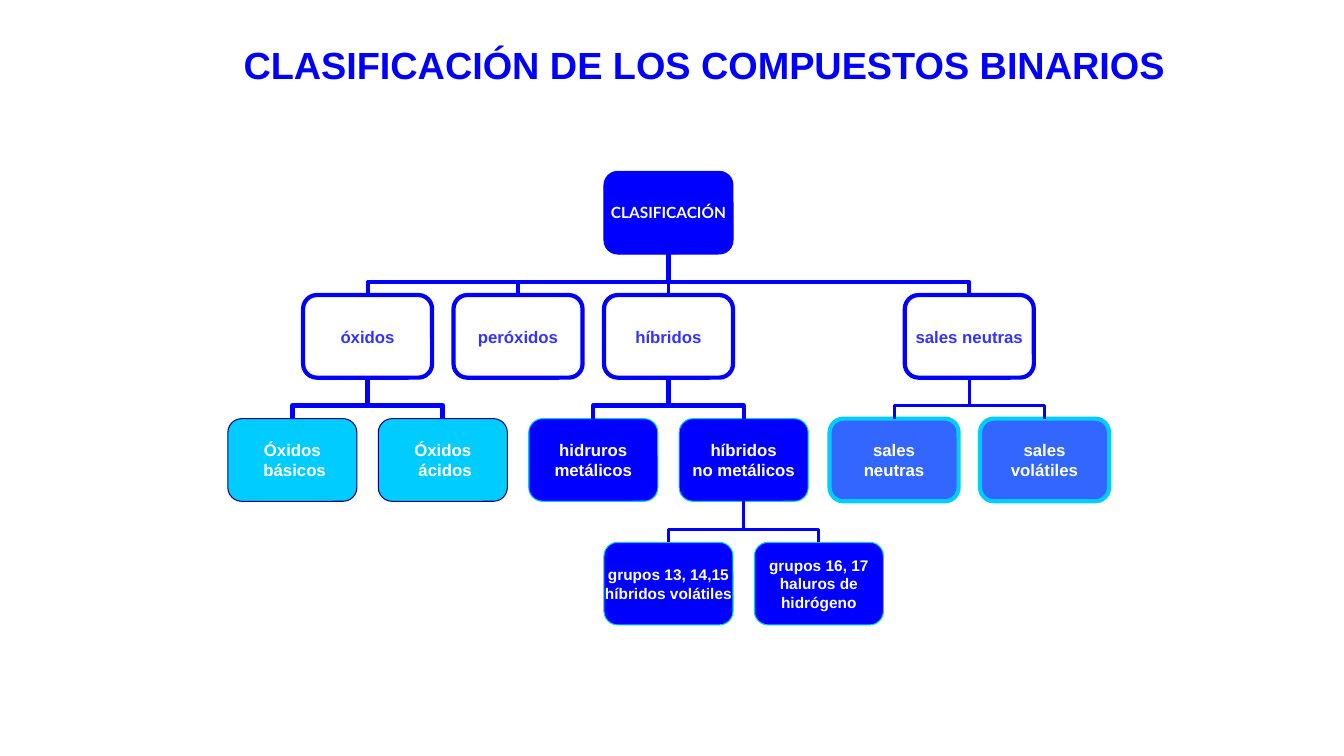
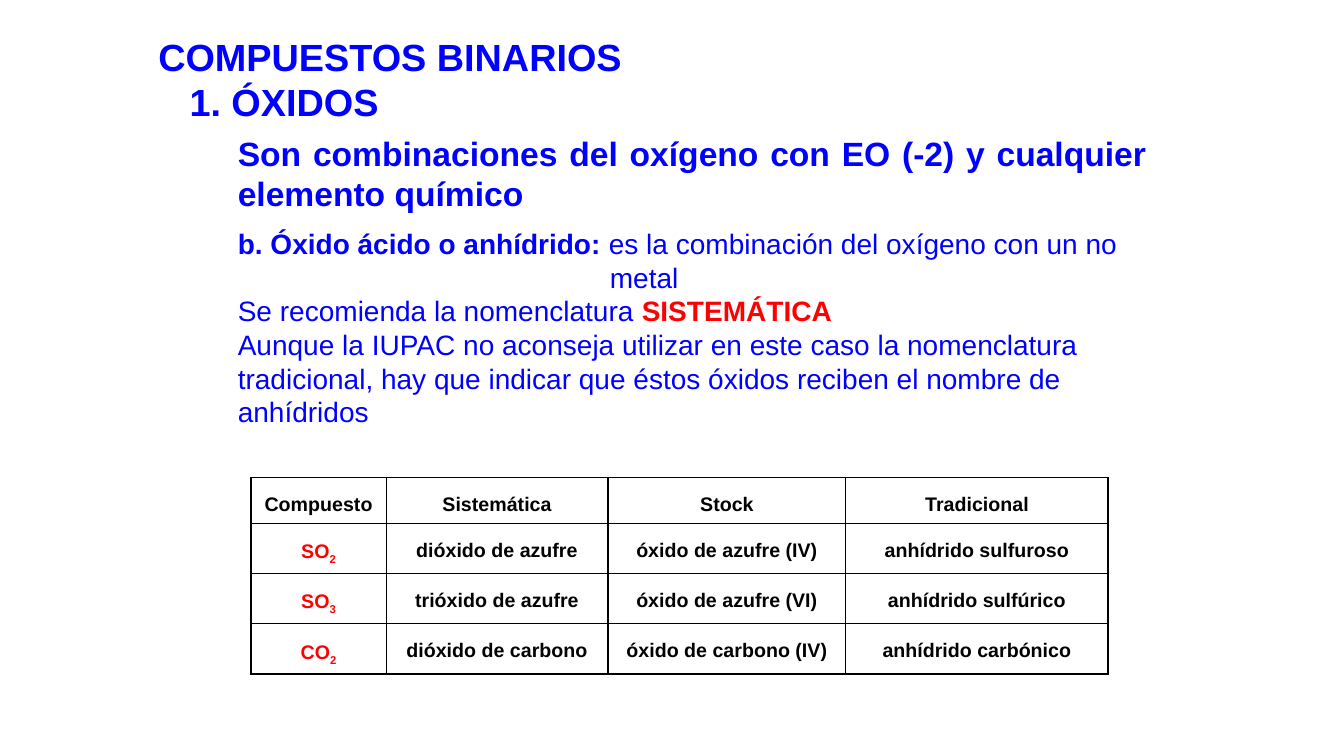
from pptx import Presentation
from pptx.dml.color import RGBColor
from pptx.enum.shapes import MSO_CONNECTOR, MSO_SHAPE
from pptx.enum.text import MSO_ANCHOR, PP_ALIGN
from pptx.oxml import parse_xml
from pptx.oxml.ns import nsdecls
from pptx.util import Inches, Pt

BLUE = RGBColor(0x00, 0x00, 0xFF)
SOFT_BLUE = RGBColor(0x33, 0x33, 0xFF)
MID_BLUE = RGBColor(0x33, 0x66, 0xFF)
CYAN = RGBColor(0x00, 0xCC, 0xFF)
NAVY = RGBColor(0x00, 0x00, 0x80)
RED = RGBColor(0xFF, 0x00, 0x00)
BLACK = RGBColor(0x00, 0x00, 0x00)
WHITE = RGBColor(0xFF, 0xFF, 0xFF)
FONT = "Arial"

# style: fill, outline, outline width, text colour, font, size
NODE_STYLES = {
    "root": (BLUE, BLUE, 0.75, WHITE, "Lato", 11),
    "family": (WHITE, BLUE, 3, SOFT_BLUE, FONT, 12),
    "oxide": (CYAN, NAVY, 0.75, WHITE, FONT, 12),
    "hydride": (BLUE, CYAN, 0.75, WHITE, FONT, 12),
    "group": (BLUE, CYAN, 0.75, WHITE, FONT, 11),
    "salt": (MID_BLUE, CYAN, 3, WHITE, FONT, 12),
}

# key: text, style, slot, level, parent, link width
TREE = {
    "root": ("CLASIFICACIÓN", "root", 5, 0, None, None),
    "oxides": ("óxidos", "family", 1, 1, "root", 3),
    "peroxides": ("peróxidos", "family", 3, 1, "root", 2.25),
    "hydrides": ("híbridos", "family", 5, 1, "root", 2.25),
    "salts": ("sales neutras", "family", 9, 1, "root", 3),
    "basic": ("Óxidos\n básicos", "oxide", 0, 2, "oxides", 3.5),
    "acid": ("Óxidos\n ácidos", "oxide", 2, 2, "oxides", 3.5),
    "metallic": ("hidruros\nmetálicos", "hydride", 4, 2, "hydrides", 3),
    "nonmetallic": ("híbridos\nno metálicos", "hydride", 6, 2, "hydrides", 3),
    "neutral": ("sales\nneutras", "salt", 8, 2, "salts", 2.25),
    "volatile": ("sales\nvolátiles", "salt", 10, 2, "salts", 2.25),
    "group13": ("grupos 13, 14,15\nhíbridos volátiles", "group", 5, 3,
                "nonmetallic", 2.25),
    "group16": ("grupos 16, 17\nhaluros de\nhidrógeno", "group", 7, 3,
                "nonmetallic", 2.25),
}
NODE_WIDTH, NODE_HEIGHT = Inches(1.28), Inches(0.82)
FIRST_LEFT, LAST_LEFT, LAST_SLOT = 2.26, 9.72, 10
FIRST_TOP, LAST_TOP, LAST_LEVEL = 1.7, 5.38, 3
BEND = 32000  # share of the gap between child and bend, in 1/100000

DEFINITION = [
    (0, [("Son combinaciones del oxígeno con EO (-2) y cualquier elemento "
          "químico", True, BLUE)]),
]
# each paragraph: left indent, runs of (text, bold, colour)
EXPLANATION = [
    (0, [("b. Óxido ácido o anhídrido: ", True, BLUE),
         ("es la combinación del oxígeno con un no", False, BLUE)]),
    (3.69, [("metal", False, BLUE)]),
    (0, [("Se recomienda la nomenclatura ", False, BLUE),
         ("SISTEMÁTICA", True, RED)]),
    (0, [("Aunque la IUPAC no aconseja utilizar en este caso la nomenclatura "
          "tradicional, hay que indicar que éstos óxidos reciben el nombre de "
          "anhídridos", False, BLUE)]),
]

NAMING = [
    ("Compuesto", "Sistemática", "Stock", "Tradicional"),
    (("SO", "2"), "dióxido de azufre", "óxido de azufre (IV)",
     "anhídrido sulfuroso"),
    (("SO", "3"), "trióxido de azufre", "óxido de azufre (VI)",
     "anhídrido sulfúrico"),
    (("CO", "2"), "dióxido de carbono", "óxido de carbono (IV)",
     "anhídrido carbónico"),
]
COLUMN_WIDTHS = (1.34, 2.2, 2.36, 2.6)
ROW_HEIGHTS = (0.45, 0.49, 0.49, 0.49)


def style_font(font, size, color, bold=True, name=FONT):
    font.name, font.size, font.bold = name, Pt(size), bold
    font.color.rgb = color


def indent(paragraph, inches):
    properties = paragraph._p.get_or_add_pPr()
    properties.set("marL", str(Inches(inches)))
    properties.set("indent", "0")


def add_titled_slide(prs, box, lines, align):
    """Add a slide whose title holds lines of (text, left indent)."""
    slide = prs.slides.add_slide(prs.slide_layouts[5])
    title = slide.shapes.title
    title.left, title.top, title.width, title.height = map(Inches, box)
    frame = title.text_frame
    frame.vertical_anchor = MSO_ANCHOR.MIDDLE
    frame.text = "\n".join(text for text, _ in lines)
    for paragraph, (_, left) in zip(frame.paragraphs, lines):
        indent(paragraph, left)
        paragraph.alignment = align
        paragraph.space_before = Pt(0)
        style_font(paragraph.font, 27, BLUE)
    return slide


def add_node(slide, text, style, slot, level):
    fill, outline, outline_width, color, font_name, size = NODE_STYLES[style]
    left = FIRST_LEFT + slot * (LAST_LEFT - FIRST_LEFT) / LAST_SLOT
    top = FIRST_TOP + level * (LAST_TOP - FIRST_TOP) / LAST_LEVEL
    node = slide.shapes.add_shape(MSO_SHAPE.ROUNDED_RECTANGLE, Inches(left),
                                  Inches(top), NODE_WIDTH, NODE_HEIGHT)
    node.shadow.inherit = False
    node.fill.solid()
    node.fill.fore_color.rgb = fill
    node.line.color.rgb = outline
    node.line.width = Pt(outline_width)
    frame = node.text_frame
    frame.margin_left = frame.margin_right = 0
    frame.margin_top = frame.margin_bottom = 0
    frame.word_wrap = False
    frame.vertical_anchor = MSO_ANCHOR.MIDDLE
    frame.text = text
    for paragraph in frame.paragraphs:
        paragraph.alignment = PP_ALIGN.CENTER
        style_font(paragraph.font, size, color, name=font_name)
    return node


def add_link(slide, child, parent, width):
    """Join the top of a child to the bottom of its parent."""
    dx = parent.left - child.left
    dy = child.top - parent.top - parent.height
    kind = MSO_CONNECTOR.ELBOW if dx else MSO_CONNECTOR.STRAIGHT
    link = slide.shapes.add_connector(kind, 0, 0, 0, 0)
    link.begin_connect(child, 0)
    link.end_connect(parent, 2)
    link.line.color.rgb = BLUE
    link.line.width = Pt(width)
    properties = link._element.spPr
    properties.append(parse_xml(f"<a:effectLst {nsdecls('a')}/>"))
    if not dx:
        return
    # A vertical elbow is a horizontal one turned about its centre.
    center_x = child.left + child.width // 2 + dx // 2
    center_y = child.top - dy // 2
    link.width, link.height = dy, abs(dx)
    link.left, link.top = center_x - dy // 2, center_y - abs(dx) // 2
    frame = properties.xfrm
    frame.rot = 90 if dx < 0 else 270
    frame.flipH, frame.flipV = dx < 0, False
    properties.xpath(".//a:avLst")[0].append(parse_xml(
        f'<a:gd {nsdecls("a")} name="adj1" fmla="val {BEND}"/>'))


def add_text(slide, box, size, paragraphs, align=PP_ALIGN.LEFT):
    frame = slide.shapes.add_textbox(*map(Inches, box)).text_frame
    frame.word_wrap = True
    for index, (left, runs) in enumerate(paragraphs):
        paragraph = frame.add_paragraph() if index else frame.paragraphs[0]
        indent(paragraph, left)
        paragraph.alignment = align
        for text, bold, color in runs:
            run = paragraph.add_run()
            run.text = text
            style_font(run.font, size, color, bold)


def add_borders(cell):
    properties = cell._tc.get_or_add_tcPr()
    for position, side in enumerate(("lnL", "lnR", "lnT", "lnB")):
        properties.insert(position, parse_xml(
            f'<a:{side} {nsdecls("a")} w="{Pt(1)}"><a:solidFill>'
            f'<a:srgbClr val="{BLACK}"/></a:solidFill></a:{side}>'))


def fill_cell(cell, content):
    """Write a name, or a (symbol, subscript) formula in red."""
    cell.fill.solid()
    cell.fill.fore_color.rgb = WHITE
    add_borders(cell)
    is_formula = isinstance(content, tuple)
    paragraph = cell.text_frame.paragraphs[0]
    paragraph.alignment = PP_ALIGN.CENTER
    paragraph.line_spacing = 1.5
    style_font(paragraph.font, 14, RED if is_formula else BLACK)
    for text in content if is_formula else (content,):
        run = paragraph.add_run()
        run.text = text
    if is_formula:
        run._r.get_or_add_rPr().set("baseline", "-25000")


def add_naming_table(slide):
    table = slide.shapes.add_table(
        len(NAMING), len(COLUMN_WIDTHS), Inches(2.49), Inches(4.74),
        Inches(sum(COLUMN_WIDTHS)), Inches(sum(ROW_HEIGHTS))).table
    for column, width in zip(table.columns, COLUMN_WIDTHS):
        column.width = Inches(width)
    for row, height, contents in zip(table.rows, ROW_HEIGHTS, NAMING):
        row.height = Inches(height)
        for cell, content in zip(row.cells, contents):
            fill_cell(cell, content)


def build_classification(prs):
    slide = add_titled_slide(
        prs, (2.3, 0.36, 9.37, 0.55),
        [("CLASIFICACIÓN DE LOS COMPUESTOS BINARIOS", 0)], PP_ALIGN.CENTER)
    nodes = {}
    for key, (text, style, slot, level, parent, width) in TREE.items():
        nodes[key] = add_node(slide, text, style, slot, level)
        if parent:
            add_link(slide, nodes[key], nodes[parent], width)


def build_oxides(prs):
    slide = add_titled_slide(
        prs, (1.47, 0.28, 5.83, 1.01),
        [("COMPUESTOS BINARIOS", 0), ("1. ÓXIDOS", 0.31)], PP_ALIGN.LEFT)
    add_text(slide, (2.26, 1.27, 9.21, 0.91), 24, DEFINITION,
             PP_ALIGN.JUSTIFY)
    add_text(slide, (2.26, 2.2, 9.45, 2.1), 20, EXPLANATION)
    add_naming_table(slide)


def main():
    prs = Presentation()
    prs.slide_width, prs.slide_height = Inches(13.33), Inches(7.5)
    build_classification(prs)
    build_oxides(prs)
    prs.save("out.pptx")


if __name__ == "__main__":
    main()
